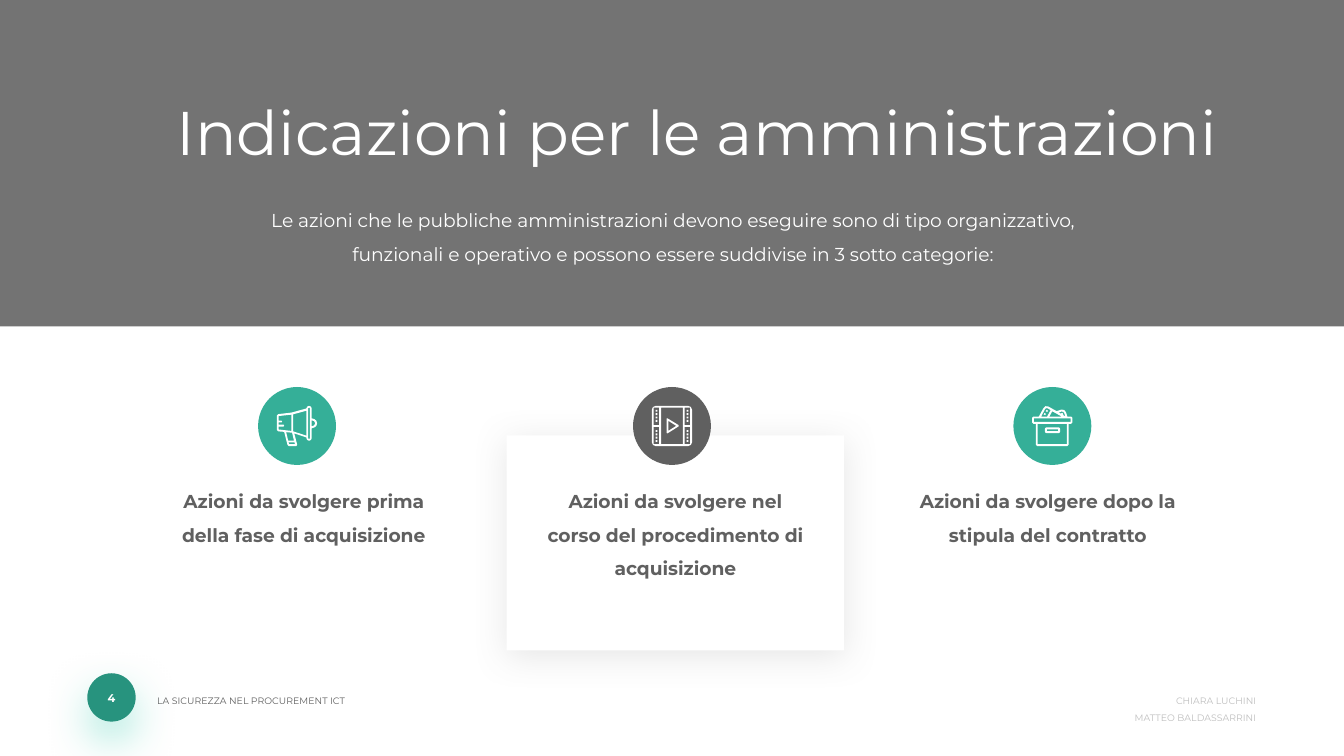
from dataclasses import dataclass

from lxml.etree import SubElement
from pptx import Presentation
from pptx.dml.color import RGBColor
from pptx.enum.shapes import MSO_SHAPE
from pptx.enum.text import PP_ALIGN
from pptx.oxml.ns import qn
from pptx.util import Inches, Pt


@dataclass(frozen=True)
class Theme:
    font: str = "Montserrat"
    white: str = "FFFFFF"
    banner: str = "353535"
    gray: str = "606060"
    light: str = "BFBFBF"
    green: str = "35AF98"
    dark_green: str = "27937E"
    green_glow: str = "78DDCA"
    card_shadow: str = "7F7F7F"
    title: float = 33
    body: float = 10
    page: float = 6
    footer: float = 5


class Deck:
    def __init__(self, prs, theme):
        self.t = theme
        self.s = prs.slides.add_slide(prs.slide_layouts[6])

    def text(self, x, y, w, h, lines, size, color, align=PP_ALIGN.CENTER,
             bold=False, spacing=1.5):
        tf = self.s.shapes.add_textbox(
            Inches(x), Inches(y), Inches(w), Inches(h)).text_frame
        tf.word_wrap = True
        tf.margin_left = tf.margin_right = Inches(0.05)
        tf.margin_top = tf.margin_bottom = Inches(0.02)
        for i, line in enumerate(lines):
            p = tf.add_paragraph() if i else tf.paragraphs[0]
            p.alignment, p.line_spacing = align, spacing
            r = p.add_run()
            r.text = line
            r.font.name, r.font.size, r.font.bold = self.t.font, Pt(size), bold
            r.font.color.rgb = RGBColor.from_string(color)

    def paint(self, sp, color):
        sp.shadow.inherit = False
        sp.fill.solid()
        sp.fill.fore_color.rgb = RGBColor.from_string(color)
        sp.line.fill.background()

    def shape(self, kind, x, y, w, h, color, alpha=None, shadow=None):
        sp = self.s.shapes.add_shape(
            kind, Inches(x), Inches(y), Inches(w), Inches(h))
        self.paint(sp, color)
        if alpha:
            self.alpha(sp._element.spPr.find(".//" + qn("a:srgbClr")), alpha)
        if shadow:
            self.shadow(sp, *shadow)

    def alpha(self, color, percent):
        SubElement(color, qn("a:alpha"), val=str(percent * 1000))

    def shadow(self, sp, color, opacity, blur, distance):
        effects = sp._element.spPr.find(qn("a:effectLst"))
        outer = SubElement(effects, qn("a:outerShdw"), blurRad=str(Pt(blur)),
                           dist=str(Pt(distance)), dir="5400000",
                           algn="t", rotWithShape="0")
        self.alpha(SubElement(outer, qn("a:srgbClr"), val=color), opacity)

    def icon(self, x, y, contours):
        """Contours are in hundredths of an inch; inner ones cut holes."""
        path = None
        for contour in contours:
            start, *rest = [(Inches(x + px / 100), Inches(y + py / 100))
                            for px, py in contour]
            if path is None:
                path = self.s.shapes.build_freeform(*start)
            else:
                path.move_to(*start)
            path.add_line_segments(rest, close=True)
        self.paint(path.convert_to_shape(), self.t.white)


def rect(x0, y0, x1, y1, cut=0):
    """Rectangle contour with softened corners."""
    if not cut:
        return [(x0, y0), (x1, y0), (x1, y1), (x0, y1)]
    c, m = cut, cut * 0.3
    return [(x0 + c, y0), (x1 - c, y0), (x1 - m, y0 + m), (x1, y0 + c),
            (x1, y1 - c), (x1 - m, y1 - m), (x1 - c, y1), (x0 + c, y1),
            (x0 + m, y1 - m), (x0, y1 - c), (x0, y0 + c), (x0 + m, y0 + m)]


t = Theme()
prs = Presentation()
prs.slide_width, prs.slide_height = Inches(10), Inches(10 * 9 / 16)
d = Deck(prs, t)

# Footer
d.text(1.12, 5.11, 1.9, 0.28, ["LA SICUREZZA NEL PROCUREMENT ICT"],
       t.footer, t.gray, PP_ALIGN.LEFT)
d.text(8.37, 5.11, 1.03, 0.15, ["CHIARA LUCHINI", " MATTEO BALDASSARRINI"],
       t.footer, t.light, PP_ALIGN.RIGHT)
d.shape(MSO_SHAPE.OVAL, 0.65, 5.01, 0.36, 0.36, t.dark_green,
        shadow=(t.green_glow, 59, 23, 10))
d.text(0.73, 5.12, 0.2, 0.15, ["4"], t.page, t.white, bold=True, spacing=1)

# Banner
d.shape(MSO_SHAPE.RECTANGLE, 0, 0, 10, 2.43, t.banner, alpha=69)
d.text(0.88, 0.68, 8.61, 0.61, ["Indicazioni per le amministrazioni"],
       t.title, t.white, spacing=1)
d.text(1.83, 1.45, 6.35, 0.45,
       ["Le azioni che le pubbliche amministrazioni devono eseguire sono di "
        "tipo organizzativo, funzionali e operativo e possono essere "
        "suddivise in 3 sotto categorie:"], t.body, t.white)

# Highlighted card
d.shape(MSO_SHAPE.RECTANGLE, 3.77, 3.24, 2.51, 1.6, t.white,
        shadow=(t.card_shadow, 19, 19, 3))

# Icon outlines
megaphone = [
    [(26, 9.3), (26, 2), (25.4, 0.6), (24, 0), (22.6, 0.6), (22, 2),
     (11, 5), (1, 6.2), (0, 7.2), (0, 18), (1, 19), (5.5, 19.4), (8, 29.2),
     (9, 30), (14.5, 30), (15.2, 29), (13, 20.5), (22, 23.5), (22, 24),
     (22.6, 25.4), (24, 26), (25.4, 25.4), (26, 24), (26, 16.7),
     (28.2, 16), (29.5, 14.8), (30, 13), (29.5, 11.2), (28.2, 10)],
    [(1.4, 17.6), (1.4, 15.4), (5, 15.4), (5.5, 14.7), (5, 14), (1.4, 14),
     (1.4, 12.4), (3.5, 12.4), (4, 11.7), (3.5, 11), (1.4, 11),
     (1.4, 7.6), (10.8, 6.6), (10.8, 18.7)],
    [(12.2, 6.3), (22, 3.7), (22, 22.2), (12.2, 19)],
    [(7, 19.6), (11.4, 20), (12.8, 25.9), (8.5, 25.9)],
    [(8.8, 27.3), (13.2, 27.3), (13.6, 28.6), (9.2, 28.6)],
    rect(23.3, 1.4, 24.7, 24.6, 0.6),
    [(26, 10.8), (27.8, 11.4), (28.6, 13), (27.8, 14.6), (26, 15.2)],
]
film = [
    rect(0, 0, 30, 30, 3),
    rect(6.9, 1.4, 23.1, 28.6),
    *[rect(x, y, x + 4.1, y + 13) for x in (1.4, 24.5) for y in (1.4, 15.6)],
    *[rect(x, y + 2.5 * i, x + 1.3, y + 2.5 * i + 1.4)
      for x in (2.8, 25.9) for y in (3, 18) for i in range(4)],
    [(11, 9.4), (11.7, 9.3), (20, 14.4), (20, 15.3), (11.7, 20.5),
     (11, 20.3)],
    [(12.4, 11.2), (18.2, 14.9), (12.4, 18.6)],
]
box = [
    [(29, 8), (26.2, 8), (25.2, 4.8), (24, 3.2), (22, 2.8), (18.2, 4),
     (12, 0.5), (10, 0.3), (8.5, 1.7), (5, 8), (1, 8), (0, 9), (0, 12.4),
     (1, 13.4), (2.8, 13.4), (2.8, 29), (3.8, 30), (26.2, 30), (27.2, 29),
     (27.2, 13.4), (29, 13.4), (30, 12.4), (30, 9)],
    [(22.2, 4.2), (23.7, 4.9), (24.8, 8), (23.5, 7.2), (22.6, 5.3),
     (21.2, 5.8), (19.8, 5)],
    [(22, 8), (12.8, 8), (15, 4.1)],
    [(9.8, 2.2), (11, 1.6), (13.8, 3.2), (11.2, 8), (6.7, 8)],
    rect(4.2, 13.4, 25.8, 28.6),
    rect(1.4, 9.4, 28.6, 12),
    [(11.8, 3.7), (10.8, 3), (10.1, 4), (11.2, 4.7)],
    [(10.3, 6), (9.2, 5.4), (8.6, 6.4), (9.7, 7)],
    rect(9.6, 16.1, 20.8, 20.3, 1),
    rect(11, 17.5, 19.4, 18.9),
]

# Three categories: badge left, badge colour, icon, text left, text width, text
categories = [
    (1.92, t.green, megaphone, 1.29, 1.94,
     "Azioni da svolgere prima della fase di acquisizione"),
    (4.71, t.gray, film, 3.98, 2.09,
     "Azioni da svolgere nel corso del procedimento di acquisizione"),
    (7.54, t.green, box, 6.75, 2.09,
     "Azioni da svolgere dopo la stipula del contratto"),
]
for badge_x, color, contours, text_x, text_w, label in categories:
    d.text(text_x, 3.54, text_w, 0.45, [label], t.body, t.gray, bold=True)
    d.shape(MSO_SHAPE.OVAL, badge_x, 2.88, 0.58, 0.58, color)
    d.icon(badge_x + 0.14, 3.02, contours)

prs.save("out.pptx")
